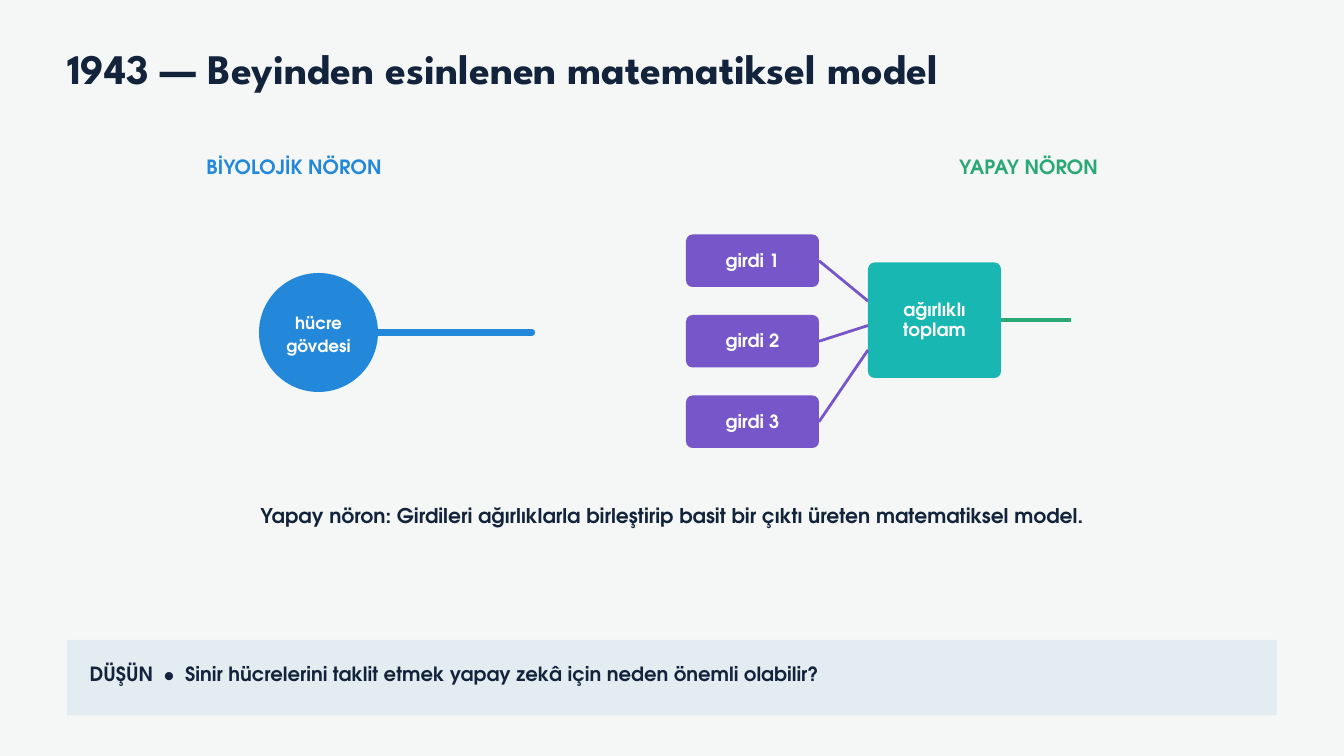
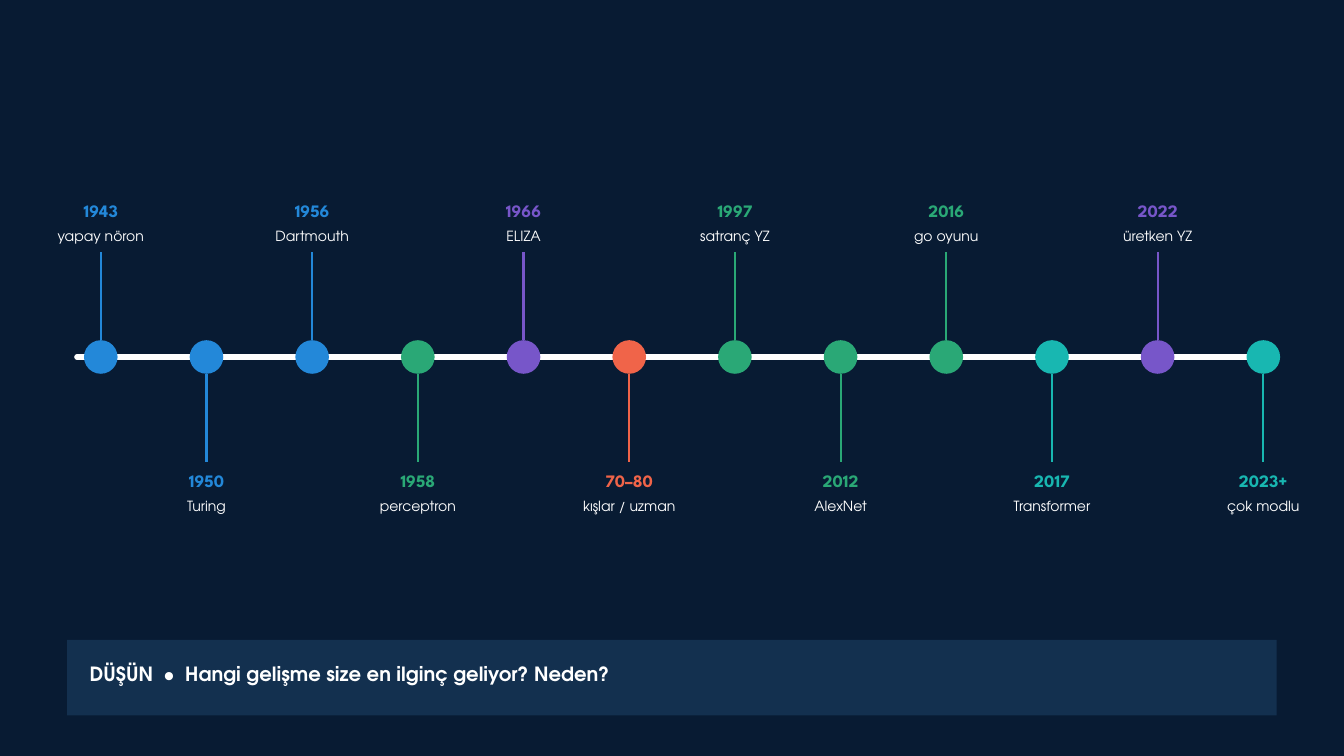
from dataclasses import dataclass
from typing import NamedTuple

from lxml import etree
from pptx import Presentation
from pptx.dml.color import RGBColor
from pptx.enum.shapes import MSO_CONNECTOR as Connector, MSO_SHAPE as Preset
from pptx.enum.text import MSO_ANCHOR as Anchor, MSO_AUTO_SIZE as AutoSize, PP_ALIGN as Align
from pptx.oxml.ns import qn
from pptx.util import Pt

COLORS = {
    "paper": "F4F7F5",
    "night": "081B33",
    "ink": "12233B",
    "white": "FFFFFF",
    "blue": "2388D9",
    "green": "2AA876",
    "purple": "7756C9",
    "teal": "18B7B1",
    "coral": "F06449",
    "pale_band": "E3EDF1",
    "dark_band": "13304F",
}
TITLE_ONLY, BLANK = 5, 6
PROMPT_TABS = (79, 102.5)


class TextStyle(NamedTuple):
    size: float
    leading: float
    font: str = "TeX Gyre Adventor"
    bold: bool = True


TITLE = TextStyle(45, 45.9, "League Spartan")
HEADING = TextStyle(21, 29.4)
CELL_BODY = TextStyle(18, 25.2)
NODE = TextStyle(19.5, 21.45)
DEFINITION = TextStyle(21.75, 26.1)
YEAR = TextStyle(18.75, 26.25, "League Spartan")
CAPTION = TextStyle(15, 21, bold=False)


class Box(NamedTuple):
    left: float
    top: float
    width: float
    height: float

    def in_points(self) -> list:
        return [Pt(length) for length in self]


@dataclass
class Label:
    text: str
    box: Box
    style: TextStyle
    color: str


@dataclass
class Block:
    text: str
    box: Box
    style: TextStyle
    fill: str
    preset: Preset = Preset.ROUNDED_RECTANGLE


@dataclass
class Milestone:
    year: str
    caption: str
    color: str


PROMPT_BOX = Box(72, 685.5, 1296, 81)

HEADINGS = [
    Label("BİYOLOJİK NÖRON", Box(105, 162, 420, 28), HEADING, "blue"),
    Label("YAPAY NÖRON", Box(907, 162, 390, 28), HEADING, "green"),
    Label("Yapay nöron: Girdileri ağırlıklarla birleştirip basit bir çıktı üreten matematiksel model.",
          Box(255, 539.5, 930, 26), DEFINITION, "ink"),
]
CELL = Block("hücre\ngövdesi", Box(277.5, 292.5, 127.5, 127.5), CELL_BODY, "blue", Preset.OVAL)
WEIGHTED_SUM = Block("ağırlıklı\ntoplam", Box(930, 281.25, 142.5, 123.75), NODE, "teal")
INPUTS = [
    Block(f"girdi {number + 1}", Box(735, 251.25 + 86.25 * number, 142.5, 56.25), NODE, "purple")
    for number in range(3)
]
CORNER_RADIUS = 7

MILESTONES = [
    Milestone("1943", "yapay nöron", "blue"),
    Milestone("1950", "Turing", "blue"),
    Milestone("1956", "Dartmouth", "blue"),
    Milestone("1958", "perceptron", "green"),
    Milestone("1966", "ELIZA", "purple"),
    Milestone("70–80", "kışlar / uzman", "coral"),
    Milestone("1997", "satranç YZ", "green"),
    Milestone("2012", "AlexNet", "green"),
    Milestone("2016", "go oyunu", "green"),
    Milestone("2017", "Transformer", "teal"),
    Milestone("2022", "üretken YZ", "purple"),
    Milestone("2023+", "çok modlu", "teal"),
]
AXIS_Y = 382.5
FIRST_X, LAST_X = 108, 1353.6
DOT_RADIUS = 18
STEM_LENGTH = 94.5


def rgb(color: str) -> RGBColor:
    return RGBColor.from_string(COLORS[color])


def add_slide(presentation, layout: int, background: str):
    slide = presentation.slides.add_slide(presentation.slide_layouts[layout])
    slide.background.fill.solid()
    slide.background.fill.fore_color.rgb = rgb(background)
    return slide


def write(frame, text: str, style: TextStyle, color: str, align=Align.CENTER,
          anchor=Anchor.TOP, left=0, top=0, tabs=()) -> None:
    """Fill a text frame, one paragraph for each line."""
    frame.word_wrap = True
    frame.auto_size = AutoSize.NONE
    frame.vertical_anchor = anchor
    frame.margin_left, frame.margin_top = Pt(left), Pt(top)
    frame.margin_right = frame.margin_bottom = 0
    for index, line in enumerate(text.split("\n")):
        paragraph = frame.add_paragraph() if index else frame.paragraphs[0]
        paragraph.alignment = align
        paragraph.line_spacing = Pt(style.leading)
        if tabs:
            stops = etree.SubElement(paragraph._p.get_or_add_pPr(), qn("a:tabLst"))
            for position in tabs:
                etree.SubElement(stops, qn("a:tab"), pos=str(Pt(position)), algn="l")
        run = paragraph.add_run()
        run.text = line
        run.font.name = style.font
        run.font.size = Pt(style.size)
        run.font.bold = style.bold
        run.font.color.rgb = rgb(color)


def add_title(slide, text: str) -> None:
    title = slide.shapes.title
    title.left, title.top, title.width, title.height = Box(72, 54, 1125, 48).in_points()
    write(title.text_frame, text, TITLE, "ink", Align.LEFT)


def add_label(slide, label: Label) -> None:
    shape = slide.shapes.add_textbox(*label.box.in_points())
    write(shape.text_frame, label.text, label.style, label.color)


def add_filled(slide, preset: Preset, box: Box, fill: str):
    shape = slide.shapes.add_shape(preset, *box.in_points())
    shape.shadow.inherit = False
    shape.fill.solid()
    shape.fill.fore_color.rgb = rgb(fill)
    shape.line.fill.background()
    return shape


def add_block(slide, block: Block):
    shape = add_filled(slide, block.preset, block.box, block.fill)
    if block.preset == Preset.ROUNDED_RECTANGLE:
        shape.adjustments[0] = CORNER_RADIUS / min(block.box.width, block.box.height)
    write(shape.text_frame, block.text, block.style, "white", anchor=Anchor.MIDDLE)
    return shape


def add_line(slide, start: tuple, end: tuple, color: str, width: float, round_cap=False):
    ends = [Pt(length) for length in (*start, *end)]
    line = slide.shapes.add_connector(Connector.STRAIGHT, *ends)
    line.line.color.rgb = rgb(color)
    line.line.width = Pt(width)
    if round_cap:
        line.line._get_or_add_ln().set("cap", "rnd")
    etree.SubElement(line._element.spPr, qn("a:effectLst"))
    return line


def add_prompt(slide, question: str, fill: str, color: str) -> None:
    """Draw the band at the foot of the slide with its question."""
    band = add_filled(slide, Preset.RECTANGLE, PROMPT_BOX, fill)
    write(band.text_frame, f"DÜŞÜN\t•\t{question}", HEADING, color, Align.LEFT,
          left=24, top=19.5, tabs=PROMPT_TABS)


def add_milestone(slide, milestone: Milestone, x: float, above: bool) -> None:
    dot = Box(x - DOT_RADIUS, AXIS_Y - DOT_RADIUS, 2 * DOT_RADIUS, 2 * DOT_RADIUS)
    add_filled(slide, Preset.OVAL, dot, milestone.color)
    direction = -1 if above else 1
    near = AXIS_Y + direction * DOT_RADIUS
    add_line(slide, (x, near), (x, near + direction * STEM_LENGTH), milestone.color, 2.25)
    year_top = 211 if above else 500
    add_label(slide, Label(milestone.year, Box(x - 42, year_top, 84, 25), YEAR, milestone.color))
    add_label(slide, Label(milestone.caption, Box(x - 54.5, year_top + 30, 109, 20),
                           CAPTION, "white"))


def build_neuron_slide(presentation) -> None:
    slide = add_slide(presentation, TITLE_ONLY, "paper")
    add_title(slide, "1943 — Beyinden esinlenen matematiksel model")
    for heading in HEADINGS:
        add_label(slide, heading)

    add_block(slide, CELL)
    add_line(slide, (405, 356.25), (570, 356.25), "blue", 6.75, round_cap=True)

    weighted_sum = add_block(slide, WEIGHTED_SUM)
    for index, block in enumerate(INPUTS):
        entry = (WEIGHTED_SUM.box.left, 322.5 + 26.25 * index)
        link = add_line(slide, entry, entry, "purple", 3)
        link.begin_connect(add_block(slide, block), 3)
    output = add_line(slide, (1072.5, 343.13), (1147.5, 343.13), "green", 3.75)
    output.begin_connect(weighted_sum, 3)

    add_prompt(slide, "Sinir hücrelerini taklit etmek yapay zekâ için neden önemli olabilir?",
               "pale_band", "ink")


def build_timeline_slide(presentation) -> None:
    slide = add_slide(presentation, BLANK, "night")
    add_line(slide, (82.5, AXIS_Y), (1357.5, AXIS_Y), "white", 6, round_cap=True)
    step = (LAST_X - FIRST_X) / (len(MILESTONES) - 1)
    for index, milestone in enumerate(MILESTONES):
        add_milestone(slide, milestone, FIRST_X + step * index, above=index % 2 == 0)
    add_prompt(slide, "Hangi gelişme size en ilginç geliyor? Neden?", "dark_band", "white")


def main() -> None:
    presentation = Presentation()
    presentation.slide_width, presentation.slide_height = Pt(1440), Pt(810)
    build_neuron_slide(presentation)
    build_timeline_slide(presentation)
    presentation.save("out.pptx")


if __name__ == "__main__":
    main()
